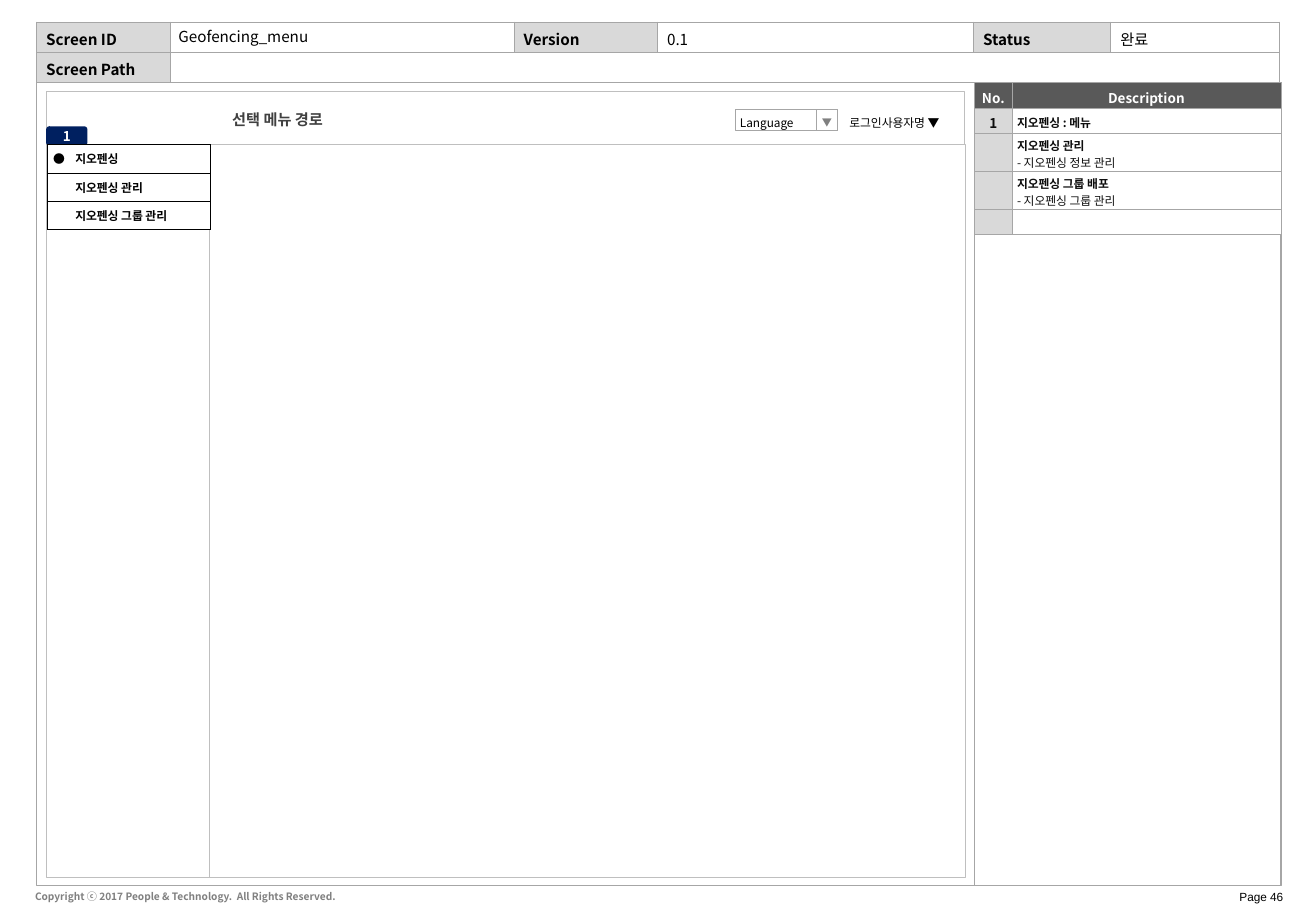
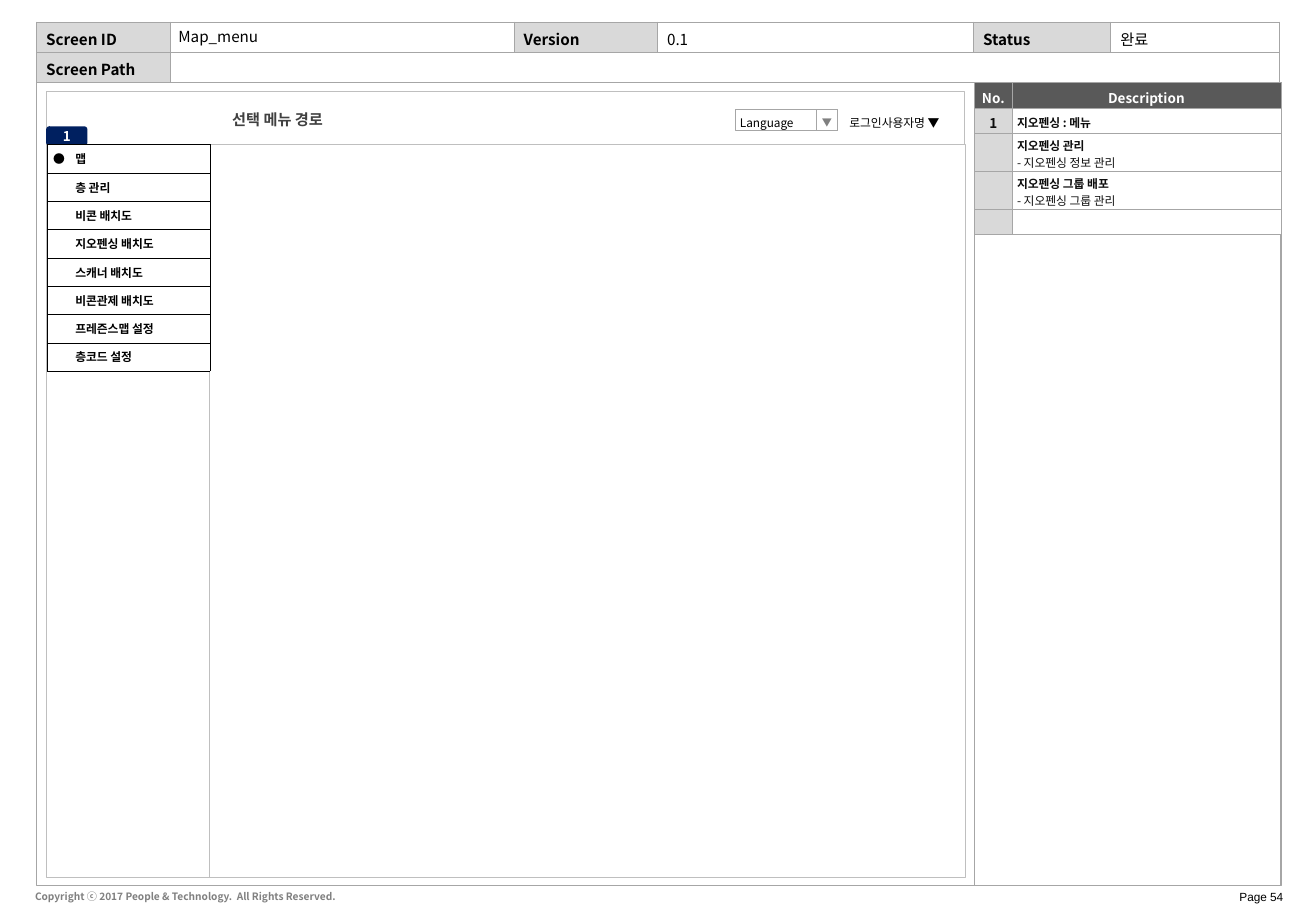
import dataclasses

import lxml.etree
import pptx
import pptx.dml.color
import pptx.enum.shapes
import pptx.enum.text
import pptx.oxml.ns
import pptx.util

Inches = pptx.util.Inches
SHAPES = pptx.enum.shapes.MSO_SHAPE
ALIGN = pptx.enum.text.PP_ALIGN
ANCHOR = pptx.enum.text.MSO_ANCHOR


@dataclasses.dataclass(frozen=True)
class Theme:
    font: str = "Noto Sans CJK KR"
    page_font: str = "Arial"
    black: str = "000000"
    white: str = "FFFFFF"
    ink: str = "0D0D0D"
    heading: str = "404040"
    muted: str = "808080"
    band: str = "595959"
    label: str = "D9D9D9"
    border: str = "A6A6A6"
    frame: str = "BFBFBF"
    badge: str = "002060"
    line: float = 0.25
    large: int = 9
    medium: int = 8
    small: int = 7
    tiny: int = 6


THEME = Theme()
MARGIN_NAMES = ("margin_left", "margin_top", "margin_right", "margin_bottom")


def rgb(value):
    return pptx.dml.color.RGBColor.from_string(value)


def set_all(target, values):
    for name, value in values.items():
        setattr(target, name, value)


def set_margins(target, margins):
    set_all(target, {name: Inches(value) for name, value in zip(MARGIN_NAMES, margins)})


def add_element(parent, tag, **attributes):
    return lxml.etree.SubElement(parent, pptx.oxml.ns.qn(tag), **attributes)


class Wireframe:
    """Holds the theme and the slide being drawn."""

    def __init__(self, presentation, theme):
        self.presentation, self.theme = presentation, theme
        self.slide = None

    def new_slide(self):
        layout = self.presentation.slide_layouts[6]
        self.slide = self.presentation.slides.add_slide(layout)

    def add_lines(self, frame, lines, size, color=THEME.black, bold=False, align=ALIGN.LEFT,
                  spacing=None, font=None):
        """Fill one paragraph; in several lines, only the first keeps the bold."""
        paragraph = frame.paragraphs[0]
        set_all(paragraph, {"alignment": align, "line_spacing": spacing})
        for index, line in enumerate(lines.split("\n")):
            if index:
                paragraph.add_line_break()
            run = paragraph.add_run()
            run.text = line
            set_all(run.font, {"size": pptx.util.Pt(size), "bold": bold and index == 0,
                               "name": font or self.theme.font})
            run.font.color.rgb = rgb(color)
            add_element(run._r.get_or_add_rPr(), "a:ea", typeface=font or self.theme.font)

    def text(self, box, content, size, margins=(0.1, 0.05, 0.1, 0.05), anchor=ANCHOR.MIDDLE,
             wrap=True, **style):
        shape = self.slide.shapes.add_textbox(*map(Inches, box))
        self.fill_frame(shape.text_frame, content, size, margins, anchor, wrap, **style)

    def fill_frame(self, frame, content, size, margins, anchor=ANCHOR.MIDDLE, wrap=True, **style):
        set_all(frame, {"word_wrap": wrap, "vertical_anchor": anchor})
        set_margins(frame, margins)
        self.add_lines(frame, content, size, **style)

    def box(self, box, fill=None, line=None, kind=SHAPES.RECTANGLE, content=None, size=None,
            margins=(0.04, 0.05, 0.04, 0.05), **style):
        shape = self.slide.shapes.add_shape(kind, *map(Inches, box))
        shape.shadow.inherit = False
        self.paint(shape.fill, fill)
        if line:
            shape.line.color.rgb = rgb(line)
            shape.line.width = pptx.util.Pt(self.theme.line)
        else:
            shape.line.fill.background()
        if content:
            self.fill_frame(shape.text_frame, content, size, margins, **style)

    def paint(self, fill, color):
        if color:
            fill.solid()
            fill.fore_color.rgb = rgb(color)
        else:
            fill.background()

    def table(self, left, top, columns, rows):
        shape = self.slide.shapes.add_table(
            len(rows), len(columns), *map(Inches, (left, top, sum(columns), sum(rows))))
        table = shape.table
        set_all(table, {"first_row": False, "horz_banding": False})
        for items, name, lengths in ((table.columns, "width", columns),
                                     (table.rows, "height", rows)):
            for item, length in zip(items, lengths):
                setattr(item, name, Inches(length))
        return table

    def cell(self, cell, content, fill, border, margins, sides="LRTB", anchor=ANCHOR.MIDDLE,
             size=THEME.small, **style):
        cell.vertical_anchor = anchor
        set_margins(cell, margins)
        properties = cell._tc.get_or_add_tcPr()
        for side in "LRTB":
            line = add_element(properties, f"a:ln{side}", w=str(pptx.util.Pt(self.theme.line)))
            if side in sides:
                solid = add_element(line, "a:solidFill")
                add_element(solid, "a:srgbClr", val=border)
            else:
                add_element(line, "a:noFill")
        self.paint(cell.fill, fill)
        if content:
            self.add_lines(cell.text_frame, content, size, **style)
        else:
            paragraph = cell.text_frame.paragraphs[0]._p
            add_element(paragraph, "a:endParaRPr", sz=str(size * 100))

    # Shared page parts
    def page_frame(self, page):
        theme = self.theme
        self.text((9.57, 7.27, 1.12, 0.22), f"Page {page}", theme.small,
                  (0.13, 0.07, 0.13, 0.07), wrap=False, align=ALIGN.RIGHT, font=theme.page_font)
        self.box((0.3, 0.68, 10.24, 6.61), line=theme.border)
        self.box((8.02, 0.68, 2.52, 6.61), line=theme.border)
        self.box((0.38, 0.76, 7.56, 6.46), line=theme.frame)
        self.text((0.19, 7.28, 3.26, 0.2),
                  "Copyright ⓒ 2017 People & Technology.  All Rights Reserved.",
                  theme.tiny, anchor=ANCHOR.TOP, color=theme.muted, bold=True)

    def screen_header(self):
        theme = self.theme
        table = self.table(0.3, 0.18, (1.1, 2.83, 1.18, 2.6, 1.13, 1.39), (0.25, 0.25))
        contents = (("Screen ID", "", "Version", "0.1", "Status", "완료"),
                    ("Screen Path", "", "", "", "", ""))
        for row, values in enumerate(contents):
            for column, value in enumerate(values):
                is_label = column % 2 == 0 and value != ""
                self.cell(table.cell(row, column), value, theme.label if is_label else None,
                          theme.border, (0.08, 0.05, 0, 0), anchor=ANCHOR.TOP,
                          size=theme.large, bold=is_label)
        table.cell(1, 1).merge(table.cell(1, 5))

    def descriptions(self, entries):
        theme = self.theme
        heights = [0.21] + [0.31 if "\n" in entry else 0.21 for _, entry in entries]
        table = self.table(8.02, 0.68, (0.31, 2.21), heights)
        margins = (0.04, 0.03, 0.04, 0)
        for column, value in enumerate(("No.", "Description")):
            self.cell(table.cell(0, column), value, theme.band, theme.border, margins,
                      size=theme.medium, color=theme.white, bold=True, align=ALIGN.CENTER)
        for row, (number, entry) in enumerate(entries, 1):
            self.cell(table.cell(row, 0), number, theme.label, theme.border, margins,
                      size=theme.medium, color=theme.ink, bold=True, align=ALIGN.CENTER)
            self.cell(table.cell(row, 1), entry, theme.white, theme.border, margins,
                      color=theme.ink, bold=True)

    def app_window(self):
        theme = self.theme
        self.box((1.72, 1.19, 6.22, 6.03), theme.white, theme.frame)
        self.box((0.38, 0.75, 7.56, 0.44), theme.white, theme.frame)
        self.box((6.05, 0.9, 0.84, 0.17), theme.white, theme.border,
                 content="Language", size=theme.small, spacing=1.5)
        self.box((6.72, 0.9, 0.17, 0.17), theme.white, theme.border, content="▼",
                 size=theme.tiny, color=theme.muted, align=ALIGN.CENTER, spacing=1.5)
        self.box((0.38, 1.04, 0.34, 0.16), theme.badge, kind=SHAPES.ROUNDED_RECTANGLE,
                 content="1", size=theme.medium, margins=(0.02, 0.05, 0.02, 0.05),
                 color=theme.white, bold=True, align=ALIGN.CENTER)
        self.text((1.87, 0.86, 1.1, 0.24), "선택 메뉴 경로", theme.large, (0.04, 0, 0.04, 0),
                  color=theme.heading, bold=True)
        self.box((6.95, 0.9, 0.91, 0.17), theme.white, content="로그인사용자명 ▼",
                 size=theme.small, spacing=1.5)

    def side_menu(self, items):
        theme = self.theme
        row_height = 0.7 / 3
        table = self.table(0.39, 1.19, (0.19, 1.03, 0.11), [row_height] * len(items))
        for row, item in enumerate(items):
            values = ("" if row else "●", item, "")
            for column, (value, sides) in enumerate(zip(values, ("LTB", "TB", "RTB"))):
                self.cell(table.cell(row, column), value, theme.white, theme.black, (0.04,) * 4,
                          sides, bold=True, align=ALIGN.LEFT if column else ALIGN.CENTER)

    def title(self, content):
        self.text((1.37, 0.17, 6.64, 0.26), content, self.theme.large)


DESCRIPTIONS = (
    ("1", "지오펜싱 : 메뉴"),
    ("", "지오펜싱 관리\n- 지오펜싱 정보 관리"),
    ("", "지오펜싱 그룹 배포\n- 지오펜싱 그룹 관리"),
    ("", ""),
)
SCREENS = (
    ("Geofencing_menu", 46, ("지오펜싱", "지오펜싱 관리", "지오펜싱 그룹 관리")),
    ("Map_menu", 54, ("맵", "층 관리", "비콘 배치도", "지오펜싱 배치도", "스캐너 배치도",
                      "비콘관제 배치도", "프레즌스맵 설정", "층코드 설정")),
)


def main():
    presentation = pptx.Presentation()
    set_all(presentation, {"slide_width": Inches(10.83), "slide_height": Inches(7.5)})
    wireframe = Wireframe(presentation, THEME)
    for title, page, menu in SCREENS:
        wireframe.new_slide()
        wireframe.page_frame(page)
        wireframe.screen_header()
        wireframe.descriptions(DESCRIPTIONS)
        wireframe.app_window()
        wireframe.side_menu(menu)
        wireframe.title(title)
    presentation.save("out.pptx")


if __name__ == "__main__":
    main()
